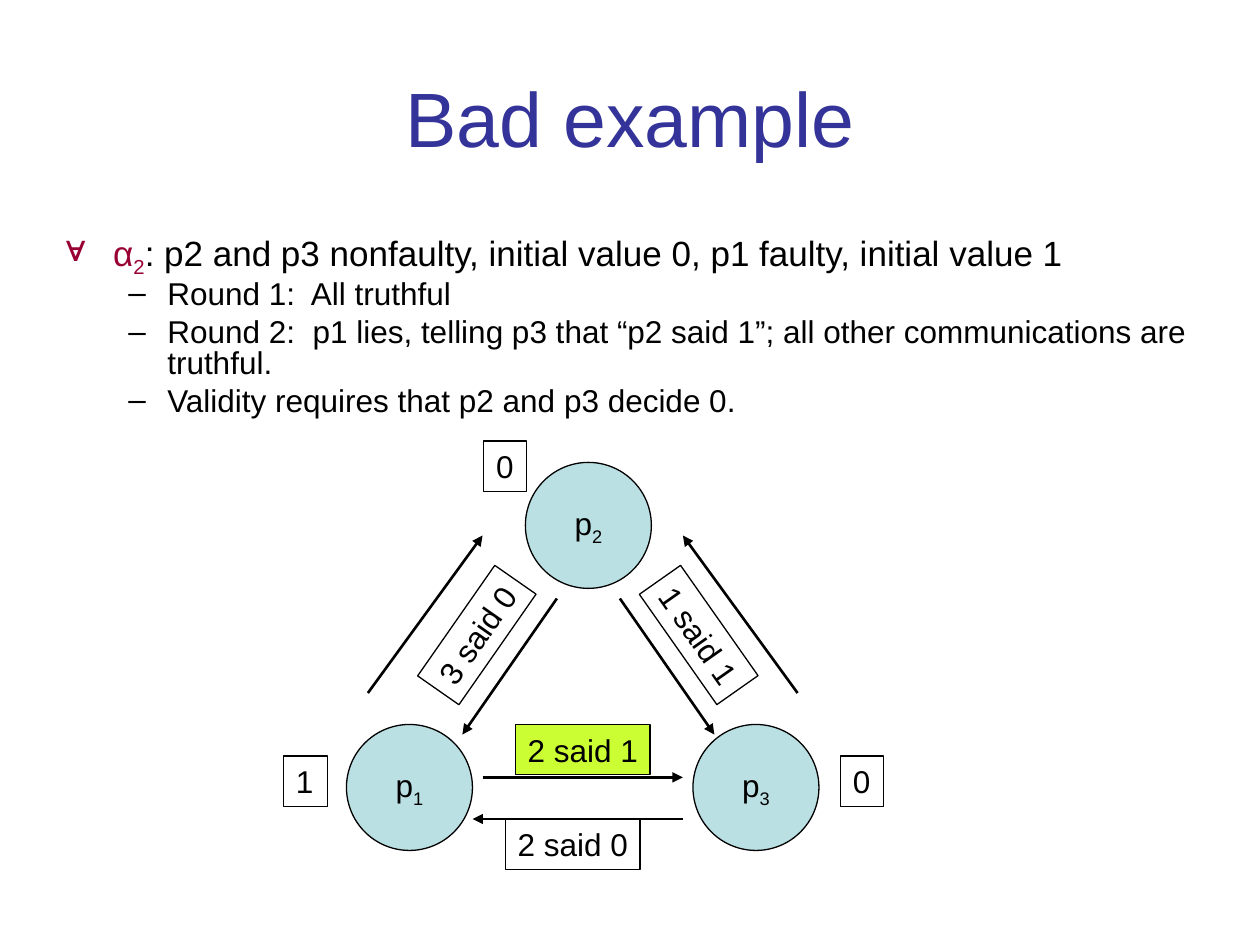
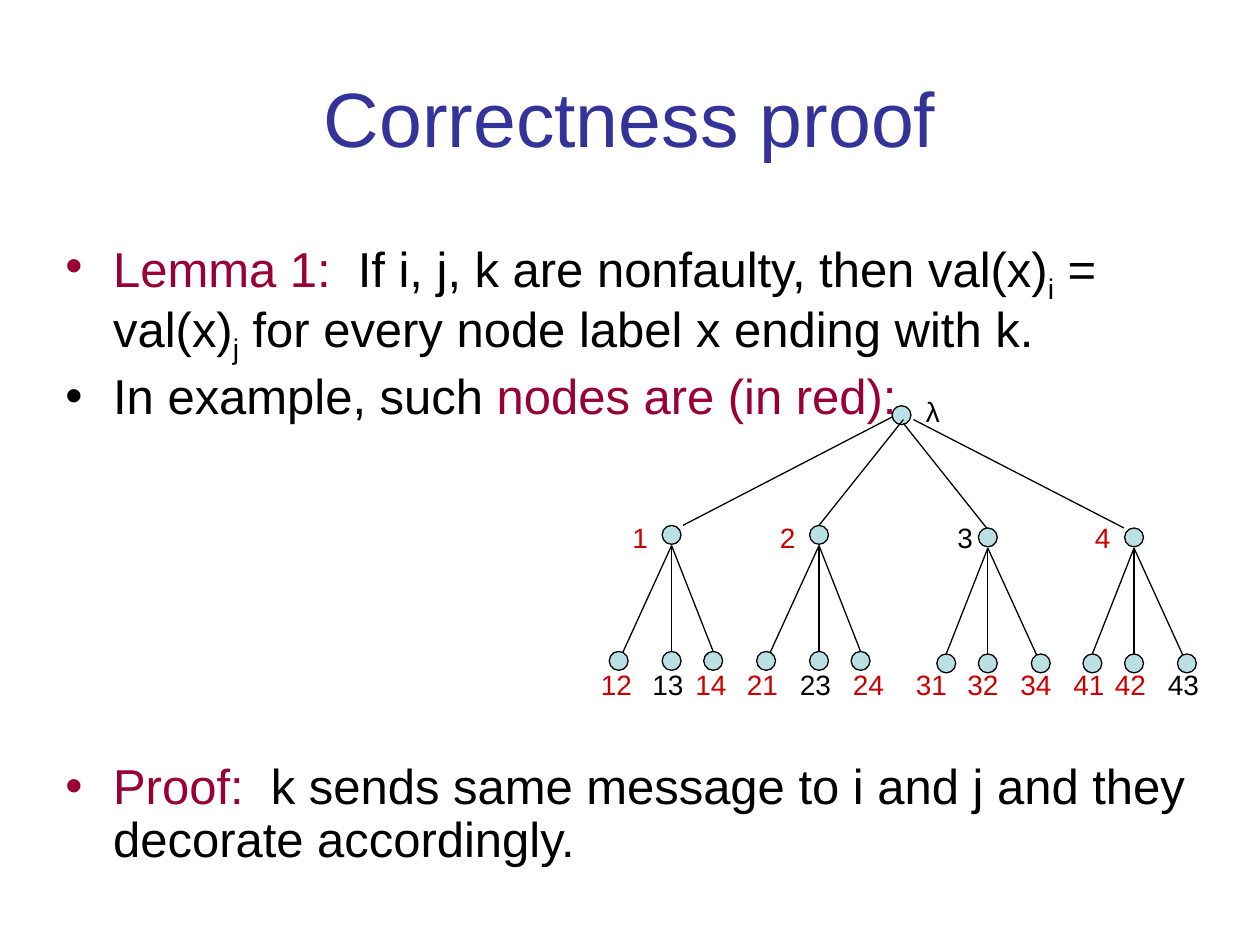
"""Build two slides on Byzantine agreement: a bad example and a correctness proof."""
import pptx
import pptx.dml.color
import pptx.enum.shapes
import pptx.enum.text
import pptx.oxml
import pptx.oxml.ns
import pptx.util

Inches, Pt = pptx.util.Inches, pptx.util.Pt
rgb = pptx.dml.color.RGBColor.from_string
qn = pptx.oxml.ns.qn
OVAL = pptx.enum.shapes.MSO_SHAPE.OVAL
RECT = pptx.enum.shapes.MSO_SHAPE.RECTANGLE
MIDDLE = pptx.enum.text.MSO_ANCHOR.MIDDLE
CENTER = pptx.enum.text.PP_ALIGN.CENTER
BLACK, WHITE, BLUE, CRIMSON = "000000", "FFFFFF", "333399", "990033"
RED, TEAL, LIME = "CC0000", "BBE0E3", "CCFF33"


def add_box(s, x, y, w, h, paras=(), size=18, kind=None, fill=None, centered=False):
    """Add a text box or shape; each paragraph is a list of (text, colour, is_subscript) runs."""
    at = [Inches(v) for v in (x, y, w, h)]
    if kind is None:
        sp = s.shapes.add_textbox(*at)
    else:
        sp = s.shapes.add_shape(kind, *at)
        sp.shadow.inherit = False
        sp.line.color.rgb = rgb(BLACK)
        sp.line.width = Pt(0.75)
        if fill:
            sp.fill.solid()
            sp.fill.fore_color.rgb = rgb(fill)
        else:
            sp.fill.background()
    tf = sp.text_frame
    tf.word_wrap = kind is None
    tf.vertical_anchor = MIDDLE if centered else pptx.enum.text.MSO_ANCHOR.TOP
    for i, runs in enumerate(paras):
        p = tf.add_paragraph() if i else tf.paragraphs[0]
        p.alignment = CENTER if centered else pptx.enum.text.PP_ALIGN.LEFT
        for text, color, sub in runs:
            r = p.add_run()
            r.text = text
            r.font.name = "Arial"
            r.font.size = Pt(size)
            r.font.color.rgb = rgb(color)
            if sub:
                r.font._element.set("baseline", "-25000")
    return sp


def add_line(s, x1, y1, x2, y2, width=0.75, arrow=False):
    """Add a black straight line, with an arrowhead at its end if asked."""
    cn = s.shapes.add_connector(pptx.enum.shapes.MSO_CONNECTOR.STRAIGHT,
                                Inches(x1), Inches(y1), Inches(x2), Inches(y2))
    cn.line.color.rgb = rgb(BLACK)
    cn.line.width = Pt(width)
    if arrow:
        cn.line._get_or_add_ln().append(pptx.oxml.parse_xml(
            '<a:tailEnd xmlns:a="http://schemas.openxmlformats.org/drawingml/2006/main" type="triangle"/>'))
    cn._element.spPr.append(cn._element.spPr.makeelement(qn("a:effectLst"), {}))


prs = pptx.Presentation()
prs.slide_width, prs.slide_height = Inches(10), Inches(7.5)

example_body = [
    [("α", CRIMSON, False), ("2", CRIMSON, True),
     (": p2 and p3 nonfaulty, initial value 0, p1 faulty, initial value 1", BLACK, False)],
    [("Round 1:  All truthful", BLACK, False)],
    [("Round 2:  p1 lies, telling p3 that “p2 said 1”; all other communications are truthful.", BLACK, False)],
    [("Validity requires that p2 and p3 decide 0.", BLACK, False)],
]
proof_body = [
    [("Lemma 1:", CRIMSON, False), ("  If i, j, k are nonfaulty, then val(x)", BLACK, False),
     ("i", BLACK, True), (" = val(x)", BLACK, False), ("j", BLACK, True),
     (" for every node label x ending with k.", BLACK, False)],
    [("In example, such ", BLACK, False), ("nodes are (in red):", CRIMSON, False)],
    [("Proof:", CRIMSON, False),
     ("  k sends same message to i and j and they decorate accordingly.", BLACK, False)],
]
top = ("∀", 0.38, -0.38)
dash = ("–", 0.81, -0.31)
dot = ("•", 0.38, -0.38)
pages = [
    ("Bad example", example_body, 1.92, 20, 0.8, 5, [top, dash, dash, dash], [0, 4.5, 4.5, 4.5]),
    ("Correctness proof", proof_body, 5.33, 28, 0.9, 7, [dot, dot, dot], [0, 7, 193]),
]
slides = []
for title, body, height, size, spacing, inset, bullets, gaps in pages:
    s = prs.slides.add_slide(prs.slide_layouts[6])
    slides.append(s)
    add_box(s, 0.5, 0.3, 9, 1.25, [[(title, BLUE, False)]], 44, centered=True)
    tf = add_box(s, 0.42, 1.75, 9.33, height, body, size).text_frame
    tf.margin_top = Inches(0.05) + Pt(inset)
    for p, (char, left, indent), gap in zip(tf.paragraphs, bullets, gaps):
        p.line_spacing = spacing
        p.space_before = Pt(gap)
        pPr = p._p.get_or_add_pPr()
        pPr.set("marL", str(Inches(left)))
        pPr.set("indent", str(Inches(indent)))
        color = pPr.makeelement(qn("a:buClr"), {})
        color.append(color.makeelement(qn("a:srgbClr"), {"val": str(p.runs[0].font.color.rgb)}))
        pPr.append(color)
        pPr.append(pPr.makeelement(qn("a:buFont"), {"typeface": "Arial"}))
        pPr.append(pPr.makeelement(qn("a:buChar"), {"char": char}))
        if char == "–":
            for r in p.runs:
                r.font.size = Pt(18)

s = slides[0]
for number, x, y in [("2", 4.17, 3.67), ("3", 5.5, 5.75), ("1", 2.75, 5.75)]:
    add_box(s, x, y, 1, 1, [[("p", BLACK, False), (number, BLACK, True)]],
            kind=OVAL, fill=TEAL, centered=True)
for ends in [(3.83, 6.17, 5.42, 6.17), (5.42, 6.5, 3.75, 6.5), (4.42, 4.75, 3.67, 5.83),
             (6.33, 5.5, 5.42, 4.25), (4.92, 4.75, 5.67, 5.83), (2.92, 5.5, 3.83, 4.25)]:
    add_line(s, *ends, width=1.5, arrow=True)
for text, x, y, w, fill, angle in [
        ("1", 2.25, 6, 0.35, None, 0), ("0", 3.84, 3.5, 0.34, None, 0), ("0", 6.67, 6, 0.34, None, 0),
        ("2 said 0", 4.01, 6.5, 1.07, WHITE, 0), ("2 said 1", 4.09, 5.75, 1.07, LIME, 0),
        ("1 said 1", 5.01, 4.84, 1.07, None, 54.9), ("3 said 0", 3.25, 4.84, 1.07, None, 304.9)]:
    add_box(s, x, y, w, 0.4, [[(text, BLACK, False)]], kind=RECT, fill=fill).rotation = angle

s = slides[1]
node = 0.15
add_box(s, 7.08, 3.22, node, node, kind=OVAL, fill=TEAL)
for ends in [(5.42, 4.17, 7.08, 3.31), (6.5, 4.17, 7.17, 3.33),
             (7.83, 4.19, 7.17, 3.36), (8.92, 4.19, 7.25, 3.33)]:
    add_line(s, *ends)
for x, y, side in [(5.33, 4.17, 1), (6.5, 4.17, 1), (7.84, 4.19, -1), (9, 4.19, -1)]:
    add_box(s, x - node / 2, y, node, node, kind=OVAL, fill=TEAL)
    for offset, drop in [(-0.42, 0.08), (0, 0), (0.33, 0)]:
        leaf_x = x + side * offset
        add_line(s, x, y + 0.16, leaf_x, y + 1 + drop)
        add_box(s, leaf_x - node / 2, y + 1, node, node, kind=OVAL, fill=TEAL)

labels = [("λ", 7.25, 3.08)]
labels += [(t, x, 4.08) for t, x in [("1", 4.92), ("2", 6.09), ("3", 7.5), ("4", 8.59)]]
labels += [(t, x, 5.25) for t, x in [
    ("12", 4.67), ("13", 5.08), ("14", 5.42), ("21", 5.83), ("23", 6.25), ("24", 6.67),
    ("31", 7.17), ("32", 7.58), ("34", 8), ("41", 8.42), ("42", 8.75), ("43", 9.17)]]
for text, x, y in labels:
    color = BLACK if text[-1] in "λ3" else RED
    add_box(s, x, y, 0.16 + 0.16 * len(text), 0.37, [[(text, color, False)]], 16)

prs.save("out.pptx")
